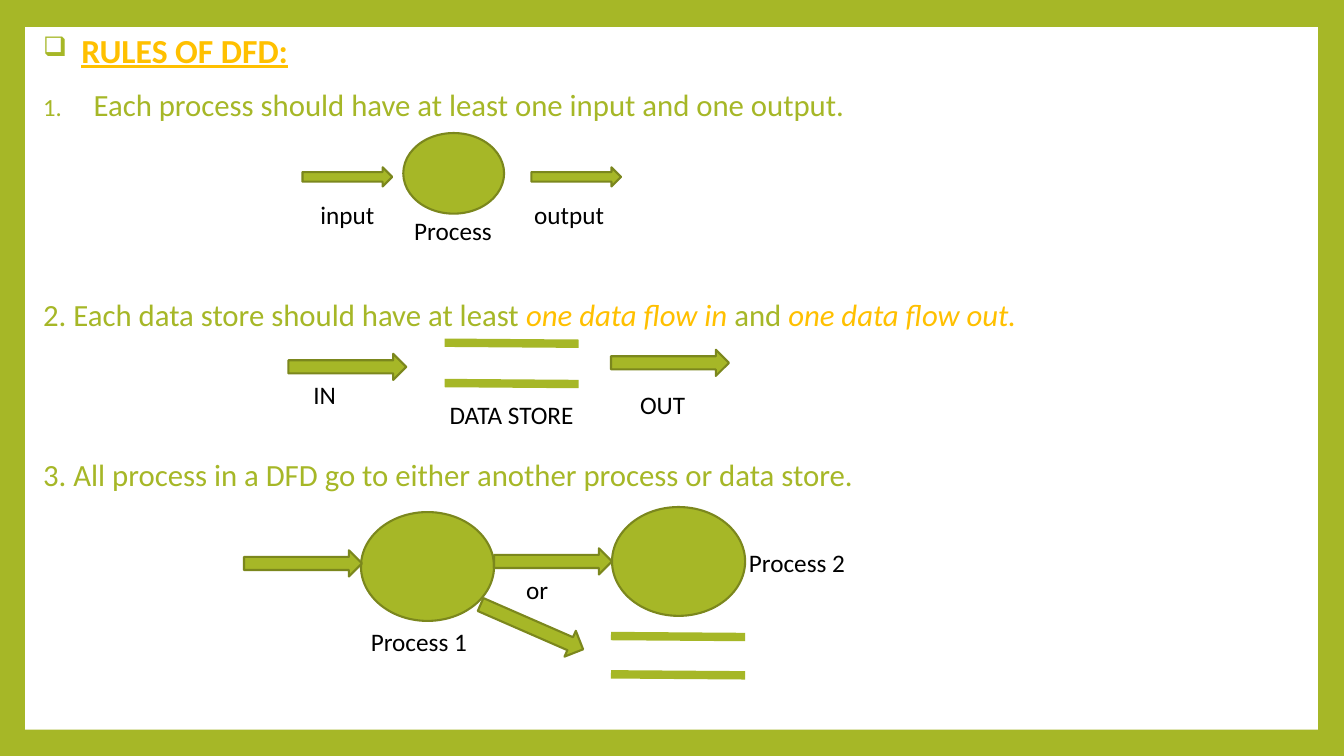
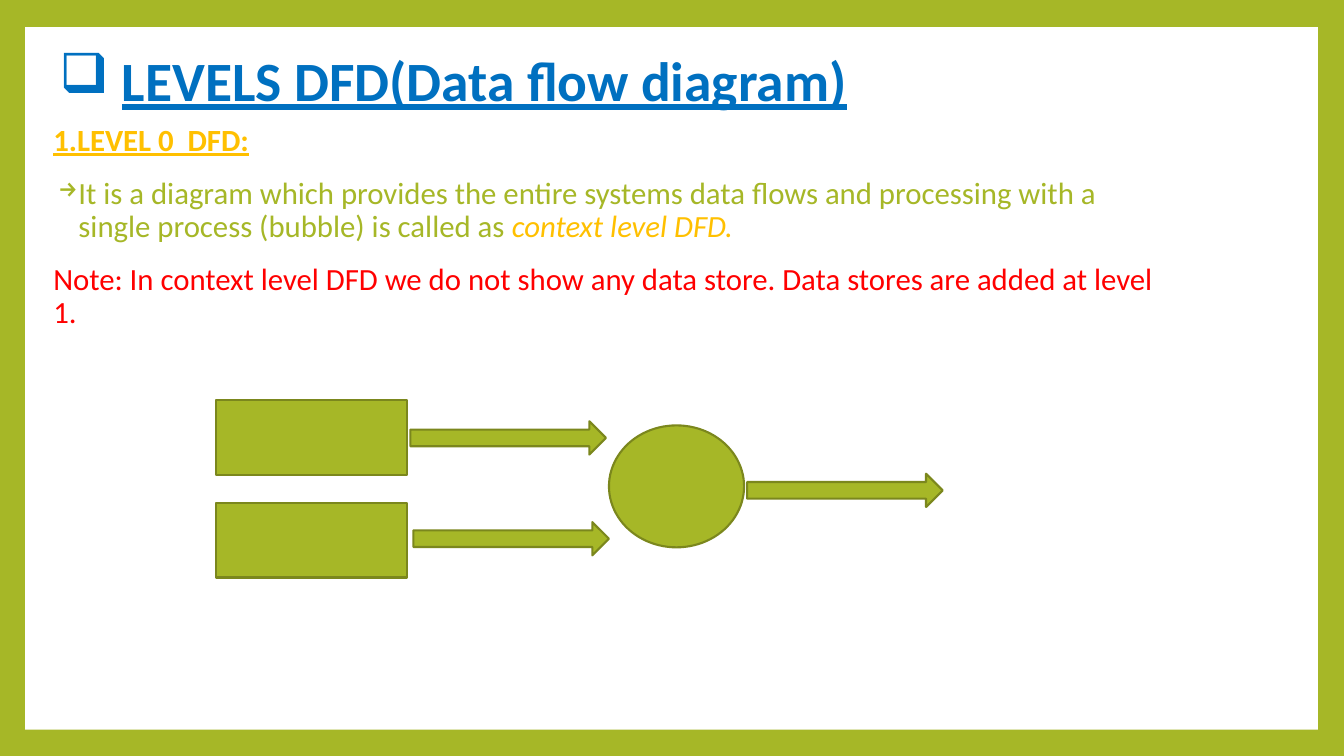
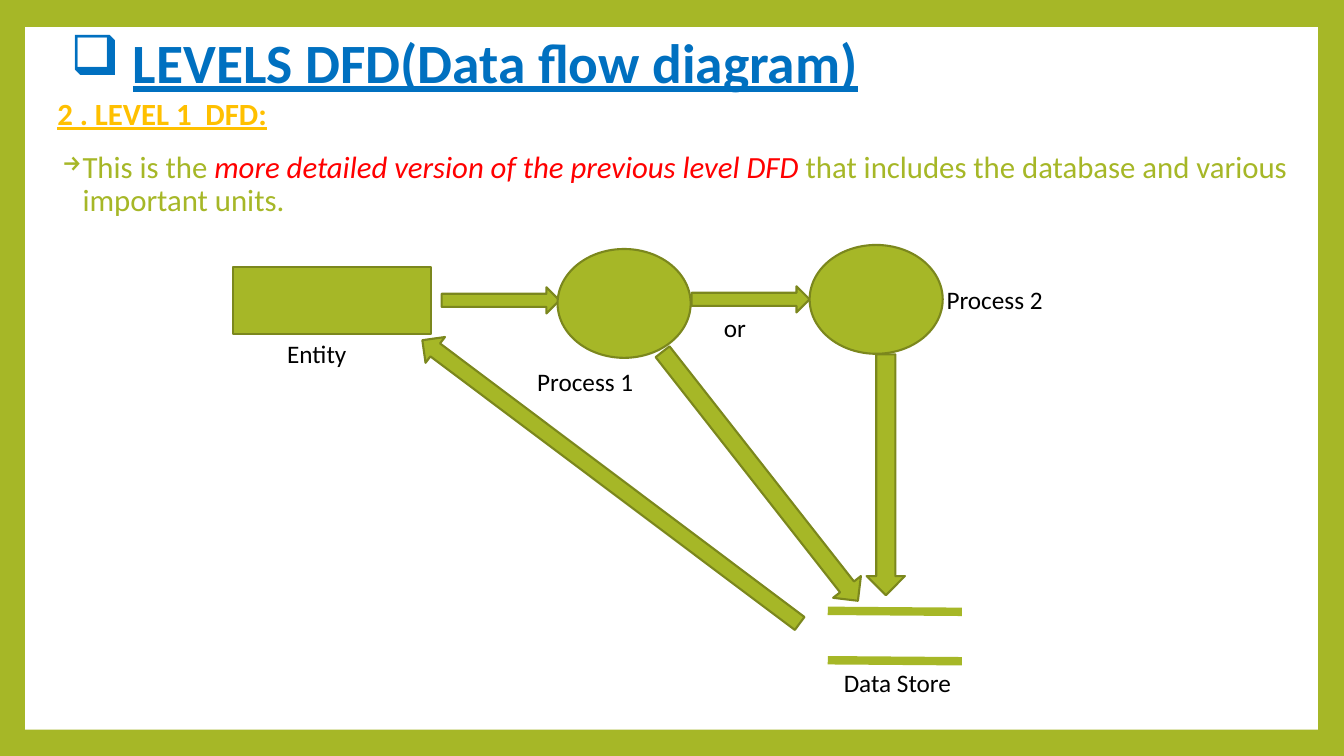
from dataclasses import dataclass, field
from typing import NamedTuple

from lxml import etree
from pptx import Presentation
from pptx.dml.color import RGBColor
from pptx.enum.shapes import MSO_CONNECTOR, MSO_SHAPE
from pptx.enum.text import MSO_ANCHOR
from pptx.oxml.ns import qn
from pptx.util import Inches, Pt

# Colours and font
GREEN = RGBColor(0xA6, 0xB7, 0x27)
OLIVE = RGBColor(0x7B, 0x87, 0x1D)
GOLD = RGBColor(0xFF, 0xC0, 0x00)
BLUE = RGBColor(0x00, 0x70, 0xC0)
RED = RGBColor(0xFF, 0x00, 0x00)
BLACK = RGBColor(0x00, 0x00, 0x00)
WHITE = RGBColor(0xFF, 0xFF, 0xFF)
FONT = "Calibri"

# Enum members
RECT = MSO_SHAPE.RECTANGLE
OVAL = MSO_SHAPE.OVAL
ARROW = MSO_SHAPE.RIGHT_ARROW
LINE = MSO_CONNECTOR.STRAIGHT
TOP = MSO_ANCHOR.TOP
MIDDLE = MSO_ANCHOR.MIDDLE

# Common sizes in inches
BUBBLE = (1.32, 1.08)
SHORT = (1.17, 0.26)
SMALL = (0.89, 0.19)
LONG = (1.94, 0.33)
BLOCK = (1.9, 0.74)


class Box(NamedTuple):
    x: float
    y: float
    w: float
    h: float


class Run(NamedTuple):
    text: str
    color: RGBColor = GREEN
    slant: bool = False


class Mark(NamedTuple):
    """Bullet: a character, or a number when char is empty."""
    char: str
    left: float
    hang: float
    color: RGBColor = GREEN
    size: int = 80


class Para(NamedTuple):
    runs: list[Run]
    size: float = 22
    strong: bool = False
    mark: Mark | None = None


class Node(NamedTuple):
    kind: int
    x: float
    y: float
    size: tuple[float, float]
    turn: float = 0


class Label(NamedTuple):
    text: str
    x: float
    y: float
    w: float = 1.15


class Store(NamedTuple):
    x: float
    y: float
    gap: float


@dataclass
class Page:
    texts: list[tuple[Box, list[Para]]]
    nodes: list[Node]
    title: Box | None = None
    labels: list[Label] = field(default_factory=list)
    stores: list[Store] = field(default_factory=list)


def add_mark(para, mark: Mark) -> None:
    props = para._p.get_or_add_pPr()
    props.set("marL", str(Inches(mark.left)))
    props.set("indent", str(-Inches(mark.hang)))
    color = etree.SubElement(props, qn("a:buClr"))
    etree.SubElement(color, qn("a:srgbClr"), val=str(mark.color))
    etree.SubElement(props, qn("a:buSzPct"), val=str(mark.size * 1000))
    if mark.char:
        etree.SubElement(props, qn("a:buChar"), char=mark.char)
    else:
        etree.SubElement(props, qn("a:buAutoNum"), type="arabicPeriod")


def write(slide, box: Box, paras: list[Para], *, anchor=TOP,
          spacing: float = 0.9, before: float = 14) -> None:
    frame = slide.shapes.add_textbox(*map(Inches, box)).text_frame
    frame.word_wrap = True
    frame.vertical_anchor = anchor
    for i, item in enumerate(paras):
        para = frame.add_paragraph() if i else frame.paragraphs[0]
        if item.mark:
            add_mark(para, item.mark)
        para.line_spacing = spacing
        if i:
            para.space_before = Pt(before)
        for part in item.runs:
            run = para.add_run()
            run.text = part.text
            font = run.font
            font.name, font.size = FONT, Pt(item.size)
            font.bold = font.underline = item.strong
            font.italic = part.slant
            font.color.rgb = part.color


def draw(slide, node: Node, fill: RGBColor = GREEN,
         edge: RGBColor | None = OLIVE) -> None:
    shape = slide.shapes.add_shape(
        node.kind, *map(Inches, (node.x, node.y, *node.size)))
    shape.rotation = node.turn
    shape.shadow.inherit = False
    shape.fill.solid()
    shape.fill.fore_color.rgb = fill
    if edge is None:
        shape.line.fill.background()
    else:
        shape.line.color.rgb = edge
        shape.line.width = Pt(1.5)


def draw_store(slide, store: Store) -> None:
    for y in (store.y, store.y + store.gap):
        bar = slide.shapes.add_connector(
            LINE, *map(Inches, (store.x, y, store.x + 1.33, y + 0.01)))
        bar.line.color.rgb = GREEN
        bar.line.width = Pt(6)
        etree.SubElement(bar._element.spPr, qn("a:effectLst"))


def build(deck, page: Page) -> None:
    slide = deck.slides.add_slide(deck.slide_layouts[6])
    draw(slide, Node(RECT, 0.25, 0.27, (12.82, 6.97)), WHITE, None)
    if page.title:
        head = Para([Run("LEVELS DFD(Data flow diagram)", BLUE)], 39.6, True,
                    Mark("❑", 0.62, 0.62, BLUE, 100))
        write(slide, page.title, [head], anchor=MIDDLE)
    for box, paras in page.texts:
        write(slide, box, paras)
    for node in page.nodes:
        draw(slide, node)
    for store in page.stores:
        draw_store(slide, store)
    for text, x, y, w in page.labels:
        write(slide, Box(x, y, w, 0.42),
              [Para([Run(text, BLACK)], 18)], spacing=1)


POINT = Mark("→", 0.25, 0.2)

RULES = Page(
    texts=[
        (Box(0.33, 0.29, 11.17, 1.05), [
            Para([Run("RULES OF DFD:", GOLD)], 24, True,
                 Mark("❑", 0.38, 0.38)),
            Para([Run("Each process should have at least one input and "
                      "one output.")], mark=Mark("", 0.5, 0.5)),
        ]),
        (Box(0.33, 2.93, 11.17, 0.45), [
            Para([Run("2. Each data store should have at least "),
                  Run("one data flow in ", GOLD, True),
                  Run("and "),
                  Run("one data flow out.", GOLD, True)]),
        ]),
        (Box(0.33, 4.51, 11.17, 0.45), [
            Para([Run("3. All process in a DFD go to either another process "
                      "or data store.")]),
        ]),
    ],
    nodes=[
        # One input, one output
        Node(OVAL, 4, 1.32, (1, 0.8)),
        Node(ARROW, 3, 1.66, SMALL),
        Node(ARROW, 5.27, 1.66, SMALL),
        # Flow in and out of the store
        Node(ARROW, 2.86, 3.51, SHORT),
        Node(ARROW, 6.06, 3.47, SHORT),
        # Process to process or store
        Node(OVAL, 3.58, 5.08, BUBBLE),
        Node(ARROW, 2.42, 5.46, SHORT),
        Node(ARROW, 4.9, 5.44, SHORT),
        Node(OVAL, 6.07, 5.03, BUBBLE),
        Node(ARROW, 4.72, 6.08, (1.11, 0.28), 23.6),
    ],
    stores=[Store(4.41, 3.4, 0.4), Store(6.06, 6.31, 0.38)],
    labels=[
        Label("input", 3.08, 1.93),
        Label("output", 5.2, 1.93),
        Label("Process", 4.01, 2.09),
        Label("IN", 3.01, 3.71),
        Label("OUT", 6.25, 3.81),
        Label("DATA STORE", 4.36, 3.91, 1.69),
        Label("or", 5.12, 5.65),
        Label("Process 1", 3.58, 6.16, 1.23),
        Label("Process 2", 7.33, 5.38, 1.33),
    ],
)

CONTEXT = Page(
    title=Box(0.49, 0.47, 8.86, 0.72),
    texts=[(Box(0.43, 1.19, 11.18, 2.2), [
        Para([Run("1.LEVEL 0  DFD:", GOLD)], strong=True),
        Para([Run("It is a diagram which provides the entire systems data "
                  "flows and processing with a single process (bubble) is "
                  "called as "),
              Run("context level DFD.", GOLD, True)], mark=POINT),
        Para([Run("Note: In context level DFD we do not show any data store. "
                  "Data stores are added at level 1.", RED)]),
    ])],
    nodes=[
        Node(ARROW, 4.07, 4.18, LONG),
        Node(RECT, 2.14, 3.97, BLOCK),
        Node(OVAL, 6.04, 4.22, (1.34, 1.21)),
        Node(ARROW, 4.1, 5.18, LONG),
        Node(RECT, 2.14, 4.99, BLOCK),
        Node(ARROW, 7.41, 4.7, LONG),
    ],
)

DETAIL = Page(
    title=Box(0.6, 0.19, 8.75, 0.92),
    texts=[(Box(0.47, 0.93, 12.55, 1.35), [
        Para([Run("2 . LEVEL 1  DFD:", GOLD)], strong=True),
        Para([Run("This is the "),
              Run("more detailed version of the previous level DFD",
                  RED, True),
              Run(" that includes the database and various important "
                  "units.")], mark=POINT),
    ])],
    nodes=[
        Node(ARROW, 4.38, 2.85, SHORT),
        Node(ARROW, 6.86, 2.84, SHORT),
        Node(OVAL, 8.03, 2.43, BUBBLE),
        Node(ARROW, 5.97, 4.55, (3.14, 0.35), 51.9),
        Node(OVAL, 5.53, 2.47, BUBBLE),
        Node(ARROW, 7.59, 4.52, (2.39, 0.38), 90),
        Node(RECT, 2.31, 2.65, (1.97, 0.66)),
        Node(ARROW, 3.72, 4.62, (4.68, 0.32), 216.9),
    ],
    stores=[Store(8.21, 6.06, 0.49)],
    labels=[
        Label("or", 7.08, 3.05),
        Label("Process 1", 5.23, 3.58, 1.47),
        Label("Process 2", 9.29, 2.77, 1.24),
        Label("Entity", 2.75, 3.31),
        Label("Data Store", 8.27, 6.57, 1.41),
    ],
)


def main() -> None:
    deck = Presentation()
    deck.slide_width, deck.slide_height = Inches(13.33), Inches(7.5)
    back = deck.slide_master.background.fill
    back.solid()
    back.fore_color.rgb = GREEN
    for page in (RULES, CONTEXT, DETAIL):
        build(deck, page)
    deck.save("out.pptx")


if __name__ == "__main__":
    main()
